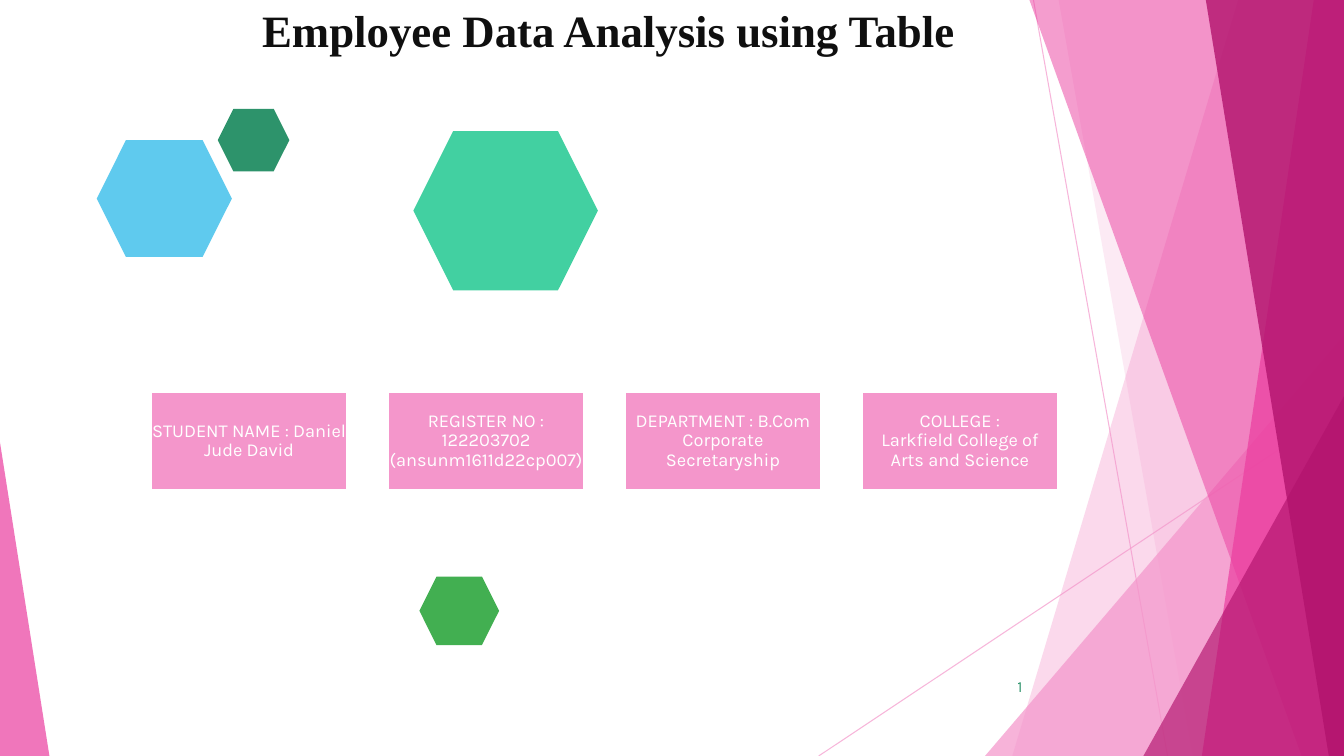
import pptx
import pptx.util
import pptx.dml.color
import pptx.enum.shapes
import pptx.enum.text
import pptx.oxml.ns
import lxml.etree

Inches = pptx.util.Inches
Pt = pptx.util.Pt
Kind = pptx.enum.shapes.MSO_SHAPE
Align = pptx.enum.text.PP_ALIGN
Anchor = pptx.enum.text.MSO_ANCHOR
qn = pptx.oxml.ns.qn

WIDE, HIGH = 13.33, 7.5
PINK, ROSE, WINE, WHITE = "F496CB", "EB3D9F", "B2136D", "FFFFFF"
GREEN = "2D936B"


def paint(fill, tone):
    """Set a solid colour from a hex string."""
    fill.solid()
    fill.fore_color.rgb = pptx.dml.color.RGBColor.from_string(tone)


def fade(shape, share):
    """Give every colour of a shape an opacity in percent."""
    for node in shape.element.spPr.iter(qn("a:srgbClr")):
        lxml.etree.SubElement(node, qn("a:alpha")).set("val", str(share * 1000))


def finish(shape, tone):
    """Fill a shape flat, without line or shadow."""
    shape.shadow.inherit = False
    shape.line.fill.background()
    paint(shape.fill, tone)
    return shape


def add_ray(slide, start, end):
    """Draw a thin translucent line."""
    points = [Inches(n) for n in start + end]
    ray = slide.shapes.add_connector(pptx.enum.shapes.MSO_CONNECTOR.STRAIGHT, *points)
    paint(ray.line.fill, PINK)
    ray.line.width = Pt(0.75)
    fade(ray, 70)
    lxml.etree.SubElement(ray.element.spPr, qn("a:effectLst"))


def add_band(slide, top, foot, tone, share):
    """Draw a band from a slanted edge to the right side."""
    corners = [(WIDE, 0), (WIDE, HIGH), (foot, HIGH)]
    build = slide.shapes.build_freeform(Inches(top), 0)
    build.add_line_segments([(Inches(x), Inches(y)) for x, y in corners])
    fade(finish(build.convert_to_shape(), tone), share)


def add_shape(slide, kind, box, tone):
    """Add a flat preset shape."""
    return finish(slide.shapes.add_shape(kind, *map(Inches, box)), tone)


def add_wedge(slide, left, top, width, peak, tone, share):
    """Add a triangle standing on the lower edge."""
    wedge = add_shape(slide, Kind.ISOSCELES_TRIANGLE, (left, top, width, HIGH - top), tone)
    wedge.adjustments[0] = peak
    fade(wedge, share)


def write(shape, text, font, size, tone, align, bold=False):
    """Write one styled paragraph into a shape."""
    frame = shape.text_frame
    frame.word_wrap = True
    frame.margin_left = frame.margin_right = 0
    frame.margin_top = frame.margin_bottom = Inches(0.01)
    frame.text = text
    para = frame.paragraphs[0]
    para.alignment = align
    for run in para.runs:
        run.font.name = font
        run.font.size = Pt(size)
        run.font.bold = bold
        paint(run.font.fill, tone)
    return frame


def add_card(slide, index, text):
    """Add one card of the row of student details."""
    card = add_shape(slide, Kind.RECTANGLE, (1.5 + 2.35 * index, 3.89, 1.94, 0.97), PINK)
    paint(card.line.fill, WHITE)
    card.line.width = Pt(1.5)
    frame = write(card, text, "Karla", 13, WHITE, Align.CENTER)
    frame.vertical_anchor = Anchor.MIDDLE
    frame.paragraphs[0].line_spacing = 0.9


def add_facet(slide):
    """Draw the translucent backdrop."""
    add_ray(slide, (10.25, 0), (11.58, HIGH))
    add_ray(slide, (WIDE, 4.03), (8.12, HIGH))
    add_band(slide, 12.28, 10.04, PINK, 36)
    add_band(slide, 10.5, 11.83, PINK, 20)
    add_wedge(slide, 9.77, 3.33, 3.56, 1, PINK, 72)
    add_band(slide, 10.21, 12.91, ROSE, 50)
    add_band(slide, 13.03, 11.92, ROSE, 70)
    add_band(slide, 11.96, 13.18, WINE, 80)
    add_wedge(slide, 11.34, 3.93, 1.99, 1, WINE, 66)
    add_wedge(slide, 0, 4.39, 0.49, 0, ROSE, 70)


def main():
    """Build the slide and save it."""
    deck = pptx.Presentation()
    deck.slide_width, deck.slide_height = Inches(WIDE), Inches(HIGH)
    slide = deck.slides.add_slide(deck.slide_layouts[6])
    add_facet(slide)

    for *box, tone in [
        (0.96, 1.39, 1.34, 1.16, "5FCAEE"),
        (2.16, 1.08, 0.71, 0.62, GREEN),
        (4.1, 1.3, 1.83, 1.58, "42D0A1"),
        (4.16, 5.72, 0.79, 0.68, "42AF51"),
    ]:
        add_shape(slide, Kind.HEXAGON, box, tone)

    title = slide.shapes.add_textbox(*map(Inches, (2.6, 0.02, 7.41, 1.1)))
    frame = write(title, "Employee Data Analysis using Table", "Times New Roman",
                  32, "0F0F0F", Align.LEFT, True)
    frame.paragraphs[0].space_before = Pt(1.3)

    number = slide.shapes.add_textbox(*map(Inches, (9.39, 6.61, 0.75, 0.4)))
    frame = write(number, "1", "Karla", 11, GREEN, Align.RIGHT)
    frame.vertical_anchor = Anchor.MIDDLE

    for index, text in enumerate([
        "STUDENT NAME : Daniel\vJude David",
        "REGISTER NO :\v122203702\v(ansunm1611d22cp007)",
        "DEPARTMENT : B.Com\vCorporate\vSecretaryship",
        "COLLEGE :\vLarkfield College of\vArts and Science",
    ]):
        add_card(slide, index, text)
    deck.save("out.pptx")


if __name__ == "__main__":
    main()
